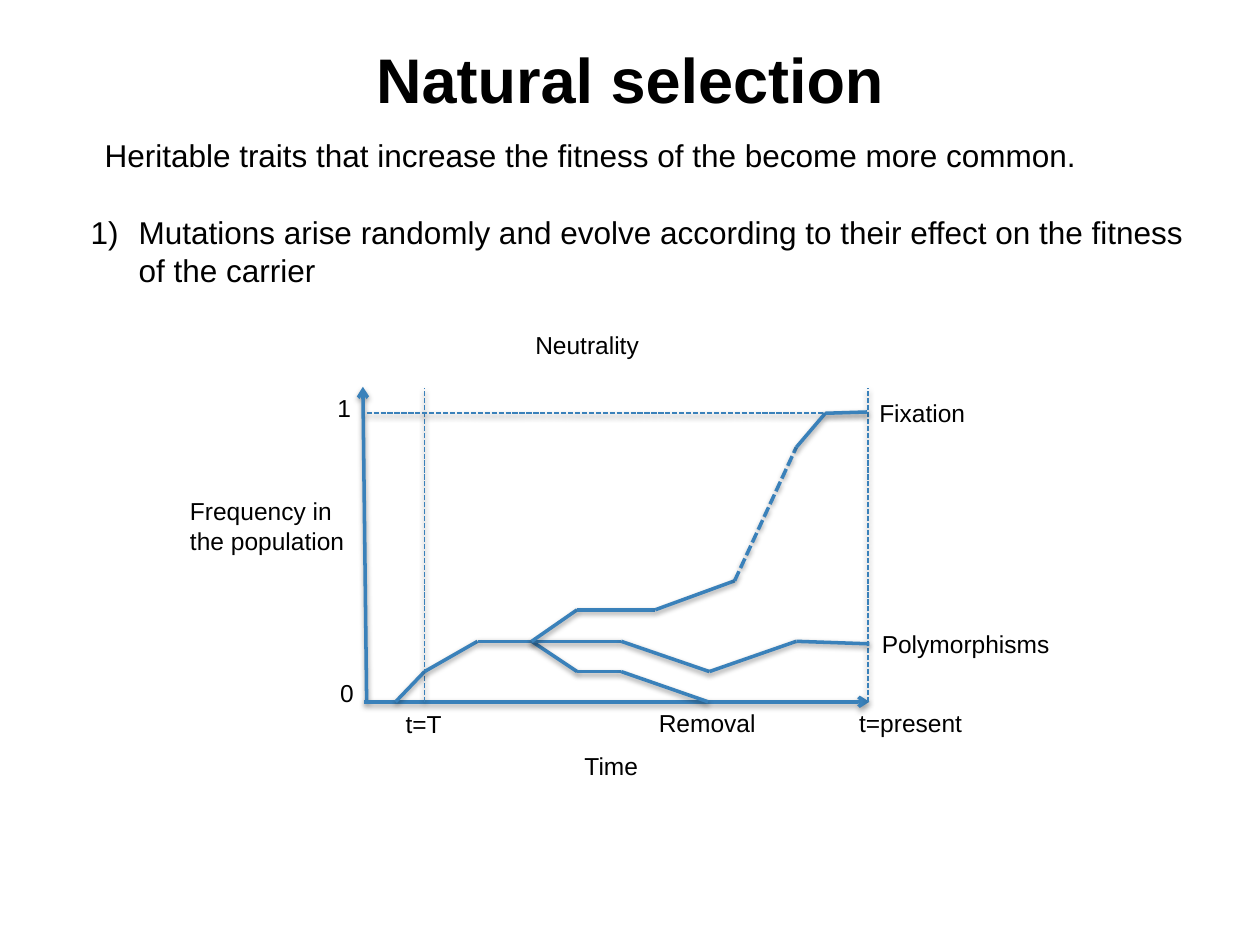
"""Build a slide on natural selection with a diagram of allele frequencies over time."""
from dataclasses import dataclass
from itertools import pairwise

from lxml.etree import SubElement
from pptx import Presentation
from pptx.dml.color import RGBColor
from pptx.enum.dml import MSO_LINE
from pptx.enum.shapes import MSO_CONNECTOR
from pptx.enum.text import MSO_ANCHOR, MSO_AUTO_SIZE, PP_ALIGN
from pptx.oxml.ns import qn
from pptx.util import Inches, Pt


@dataclass(frozen=True)
class Theme:
    font: str = "Arial"
    text: RGBColor = RGBColor(0x00, 0x00, 0x00)
    line: RGBColor = RGBColor(0x3A, 0x81, 0xBA)
    shadow: str = "000000"
    title_size: int = 36
    body_size: int = 18
    label_size: int = 14
    curve_width: int = 2
    guide_width: int = 1


class SlideBuilder:
    def __init__(self, slide, theme):
        self.slide = slide
        self.theme = theme

    def style(self, paragraph, size, bold=False):
        font = paragraph.font
        font.name = self.theme.font
        font.size = Pt(size)
        font.bold = bold
        font.color.rgb = self.theme.text

    def place(self, placeholder, left, top, width, height, anchor):
        placeholder.left, placeholder.top = Inches(left), Inches(top)
        placeholder.width, placeholder.height = Inches(width), Inches(height)
        frame = placeholder.text_frame
        frame.margin_left = frame.margin_right = Inches(0.1)
        frame.margin_top = frame.margin_bottom = Inches(0.1)
        frame.vertical_anchor = anchor
        frame.word_wrap = True
        frame.auto_size = MSO_AUTO_SIZE.NONE
        return frame

    def title(self, text):
        frame = self.place(self.slide.shapes.title, 0.5, 0, 9, 1.25, MSO_ANCHOR.MIDDLE)
        frame.text = text
        heading = frame.paragraphs[0]
        heading.alignment = PP_ALIGN.CENTER
        self.style(heading, self.theme.title_size, bold=True)

    def body(self, definition, numbered_point):
        frame = self.place(self.slide.placeholders[1], 0.5, 0.98, 9, 1.44, MSO_ANCHOR.TOP)
        frame.text = definition
        self.body_paragraph(frame.paragraphs[0], 0.38, -0.15, 0, "a:buNone")
        point = frame.add_paragraph()
        point.text = numbered_point
        self.body_paragraph(point, 0.5, -0.38, 22.5, "a:buAutoNum", type="arabicParenR")

    def body_paragraph(self, paragraph, margin, indent, space_before, bullet, **attributes):
        properties = paragraph._p.get_or_add_pPr()
        properties.set("marL", str(Inches(margin)))
        properties.set("indent", str(Inches(indent)))
        SubElement(properties, qn(bullet), attributes)
        paragraph.space_before = Pt(space_before)
        self.style(paragraph, self.theme.body_size)

    def label(self, text, left, top, width, height=0.34, wrap=False):
        box = self.slide.shapes.add_textbox(
            Inches(left), Inches(top), Inches(width), Inches(height))
        frame = box.text_frame
        frame.word_wrap = wrap
        frame.auto_size = MSO_AUTO_SIZE.SHAPE_TO_FIT_TEXT
        frame.text = text
        self.style(frame.paragraphs[0], self.theme.label_size)

    def line(self, start, end, width, dashed=False, arrow=False):
        connector = self.slide.shapes.add_connector(
            MSO_CONNECTOR.STRAIGHT, *map(Inches, start + end))
        connector.line.color.rgb = self.theme.line
        connector.line.width = Pt(width)
        if dashed:
            connector.line.dash_style = MSO_LINE.SQUARE_DOT
        if arrow:
            SubElement(connector.line._get_or_add_ln(), qn("a:tailEnd"), type="arrow")
        self.soft_shadow(connector)

    def soft_shadow(self, connector):
        effects = SubElement(connector._element.spPr, qn("a:effectLst"))
        shadow = SubElement(effects, qn("a:outerShdw"), blurRad=str(Pt(3.1)),
                            dist=str(Pt(1.6)), dir="5400000", rotWithShape="0")
        color = SubElement(shadow, qn("a:srgbClr"), val=self.theme.shadow)
        SubElement(color, qn("a:alpha"), val="38000")

    def axis(self, start, end):
        self.line(start, end, self.theme.curve_width, arrow=True)

    def guide(self, start, end):
        self.line(start, end, self.theme.guide_width, dashed=True)

    def curve(self, *points, dashed=False):
        for start, end in pairwise(points):
            self.line(start, end, self.theme.curve_width, dashed)


def main():
    presentation = Presentation()
    presentation.slide_width, presentation.slide_height = Inches(10), Inches(7.5)
    slide = presentation.slides.add_slide(presentation.slide_layouts[1])
    builder = SlideBuilder(slide, Theme())

    builder.title("Natural selection")
    builder.body(
        "Heritable traits that increase the fitness of the become more common.",
        "Mutations arise randomly and evolve according to their effect on the "
        "fitness of the carrier")

    zero, low, middle, high, one = 5.57, 5.33, 5.09, 4.84, 3.28
    guide_top, start_time, present = 3.08, 3.37, 6.89
    branching = (4.22, middle)
    dash_start, dash_end = (5.83, 4.61), (6.32, 3.55)

    builder.axis((2.91, zero), (2.88, 3.07))
    builder.axis((2.89, zero), (6.9, zero))
    builder.guide((start_time, zero), (start_time, guide_top))
    builder.guide((present, zero), (present, guide_top))
    builder.guide((2.91, one), (present, one))

    builder.curve((3.14, zero), (start_time, low), (3.79, middle), branching,
                  (4.58, low), (4.93, low), (5.62, zero))
    builder.curve(branching, (4.93, middle), (5.63, low), (6.32, middle), (6.9, 5.11))
    builder.curve(branching, (4.58, high), (5.2, high), dash_start)
    builder.curve(dash_start, dash_end, dashed=True)
    builder.curve(dash_end, (6.55, one), (6.88, 3.27))

    builder.label("Neutrality", 4.15, 2.57, 1.04)
    builder.label("1", 2.58, 3.07, 0.31)
    builder.label("0", 2.6, 5.33, 0.31)
    builder.label("Frequency in the population", 1.41, 3.89, 1.47, 0.57, wrap=True)
    builder.label("Time", 4.54, 5.91, 0.78, wrap=True)
    builder.label("t=T", 3.12, 5.58, 0.49)
    builder.label("Removal", 5.13, 5.57, 0.98)
    builder.label("t=present", 6.72, 5.57, 1.03)
    builder.label("Fixation", 6.88, 3.11, 0.89)
    builder.label("Polymorphisms", 6.9, 4.94, 1.54)

    presentation.save("out.pptx")


if __name__ == "__main__":
    main()
